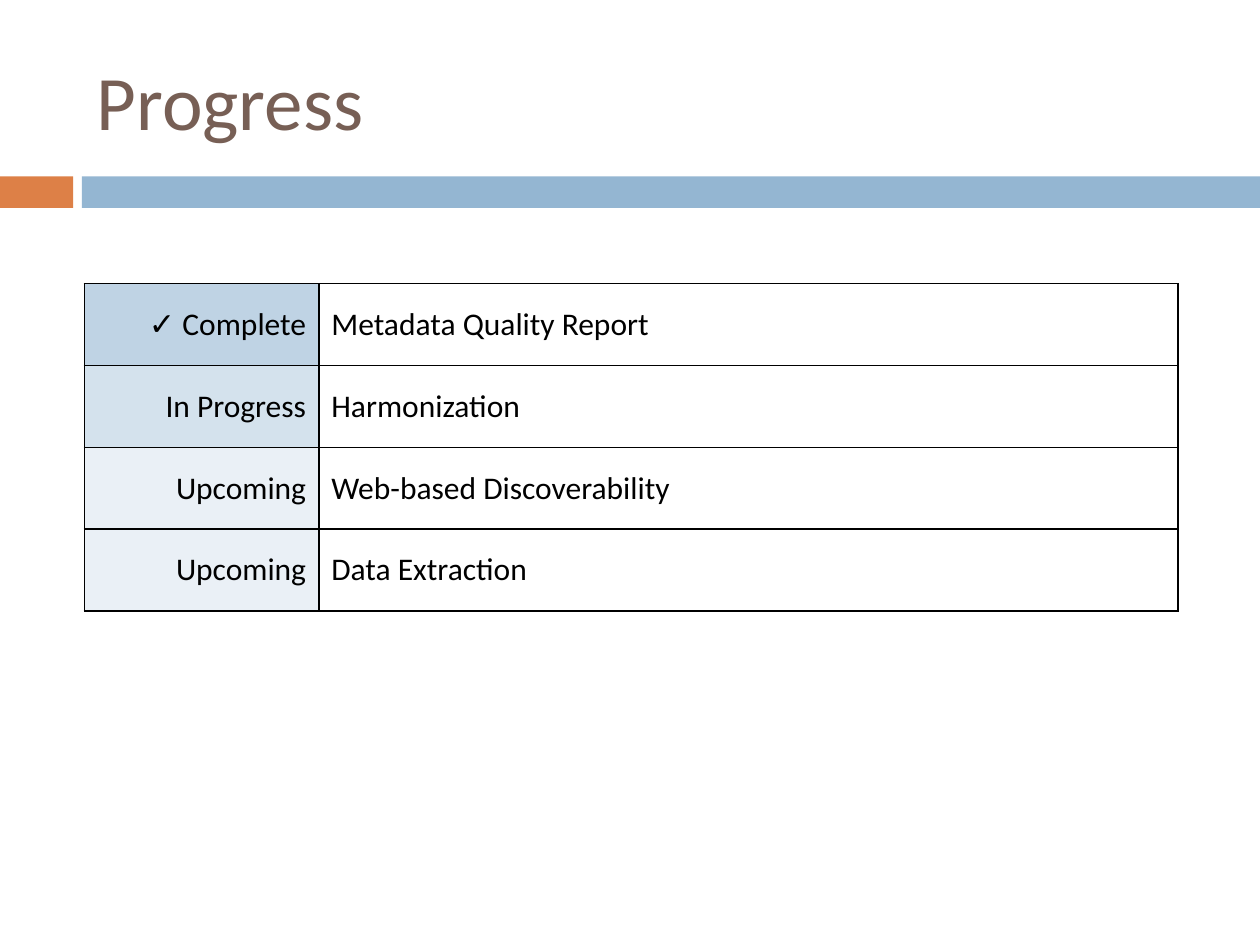
from lxml import etree
from pptx import Presentation
from pptx.dml.color import RGBColor
from pptx.enum import shapes, text
from pptx.oxml.ns import qn
from pptx.util import Inches, Pt

FONT = "Calibri"
TITLE = "Progress"
# left, width, colour
BARS = [(0, 0.58, "DD8047"), (0.65, 9.35, "94B6D2")]
# status, task, status colour
TASKS = [
    ("✓ Complete", "Metadata Quality Report", "BFD3E4"),
    ("In Progress", "Harmonization", "D4E2ED"),
    ("Upcoming", "Web-based Discoverability", "EAF0F6"),
    ("Upcoming", "Data Extraction", "EAF0F6"),
]
COLUMNS = [1.86, 6.82]
ROW_HEIGHT = 0.65


def rgb(value):
    return RGBColor.from_string(value)


def style(p, size, color, align=text.PP_ALIGN.LEFT):
    p.alignment = align
    for r in p.runs:
        r.font.name = FONT
        r.font.size = Pt(size)
        r.font.color.rgb = rgb(color)


def add_borders(cell, color="000000", width=1):
    tcPr = cell._tc.get_or_add_tcPr()
    for i, side in enumerate(("lnL", "lnR", "lnT", "lnB")):
        ln = etree.Element(qn(f"a:{side}"), w=str(Pt(width)))
        fill = etree.SubElement(ln, qn("a:solidFill"))
        etree.SubElement(fill, qn("a:srgbClr"), val=color)
        tcPr.insert(i, ln)


prs = Presentation()
prs.slide_width, prs.slide_height = Inches(10), Inches(7.5)
s = prs.slides.add_slide(prs.slide_layouts[6])

# Divider bars
for left, width, color in BARS:
    sp = s.shapes.add_shape(shapes.MSO_SHAPE.RECTANGLE, Inches(left), Inches(1.4),
                            Inches(width), Inches(0.25))
    sp.shadow.inherit = False
    sp.fill.solid()
    sp.fill.fore_color.rgb = rgb(color)
    sp.line.fill.background()

# Title
tf = s.shapes.add_textbox(Inches(0.67), Inches(0.25), Inches(8.92), Inches(1.08)).text_frame
tf.word_wrap = True
tf.vertical_anchor = text.MSO_ANCHOR.MIDDLE
tf.text = TITLE
style(tf.paragraphs[0], 44, "775F55")

# Status table
table = s.shapes.add_table(len(TASKS), len(COLUMNS), Inches(0.67), Inches(2.25),
                           Inches(sum(COLUMNS)), Inches(ROW_HEIGHT * len(TASKS))).table
table.first_row = table.horz_banding = False
for column, width in zip(table.columns, COLUMNS):
    column.width = Inches(width)
for row, (status, task, color) in zip(table.rows, TASKS):
    row.height = Inches(ROW_HEIGHT)
    status_cell, task_cell = row.cells
    status_cell.fill.solid()
    status_cell.fill.fore_color.rgb = rgb(color)
    task_cell.fill.background()
    for cell, words, align in ((status_cell, status, text.PP_ALIGN.RIGHT),
                               (task_cell, task, text.PP_ALIGN.LEFT)):
        cell.text = words
        cell.vertical_anchor = text.MSO_ANCHOR.MIDDLE
        style(cell.text_frame.paragraphs[0], 18, "000000", align)
        add_borders(cell)

prs.save("out.pptx")
